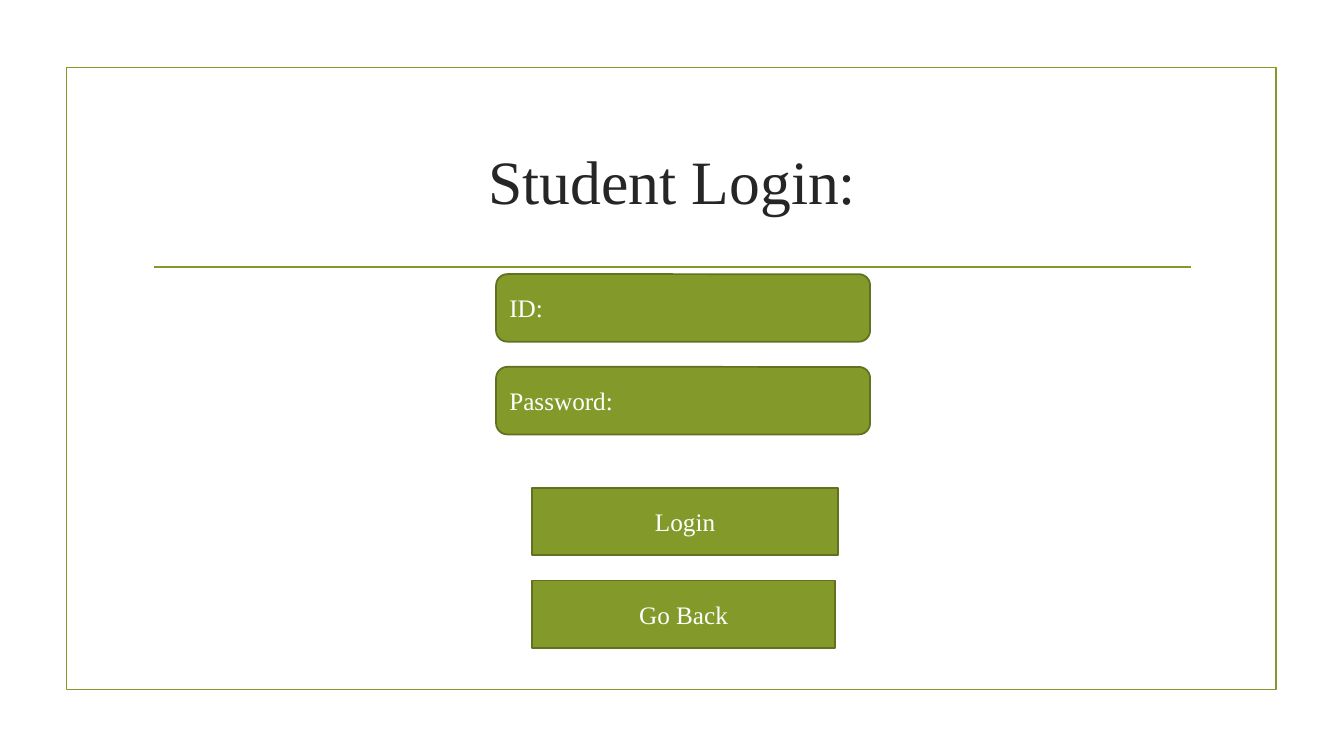
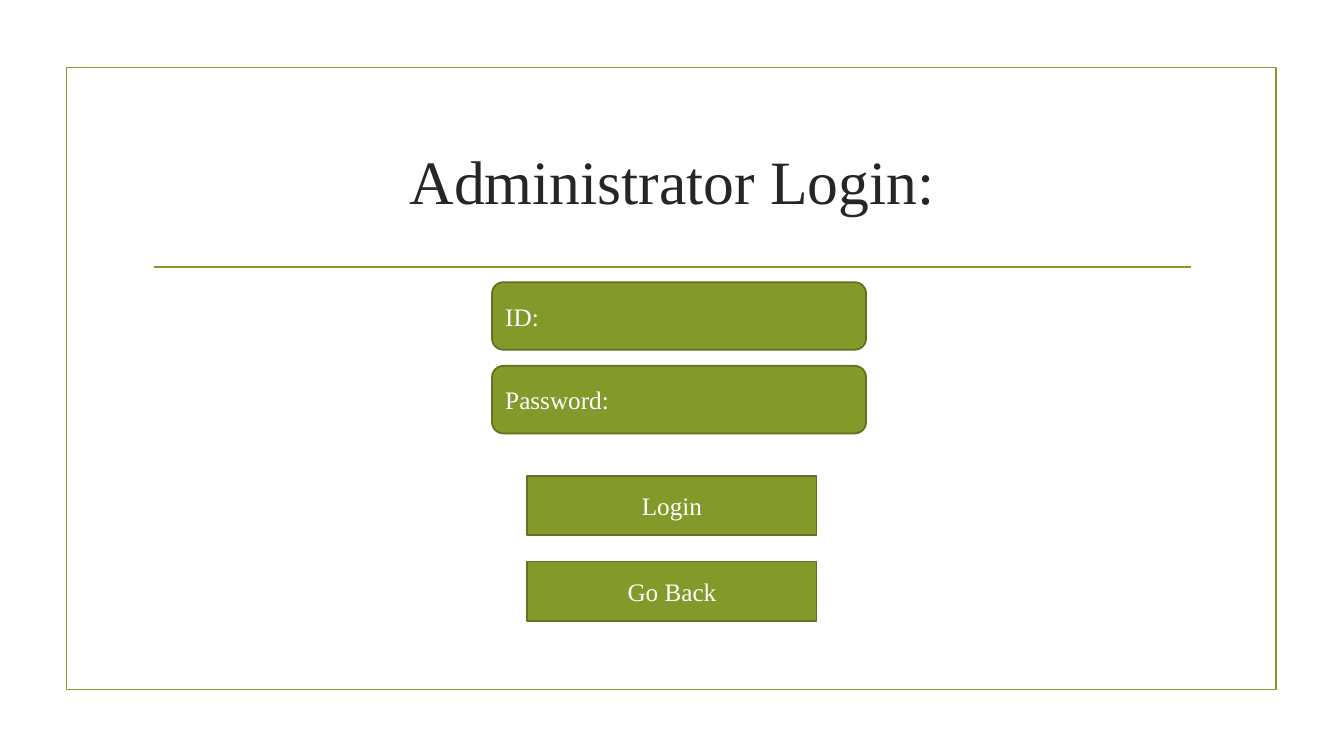
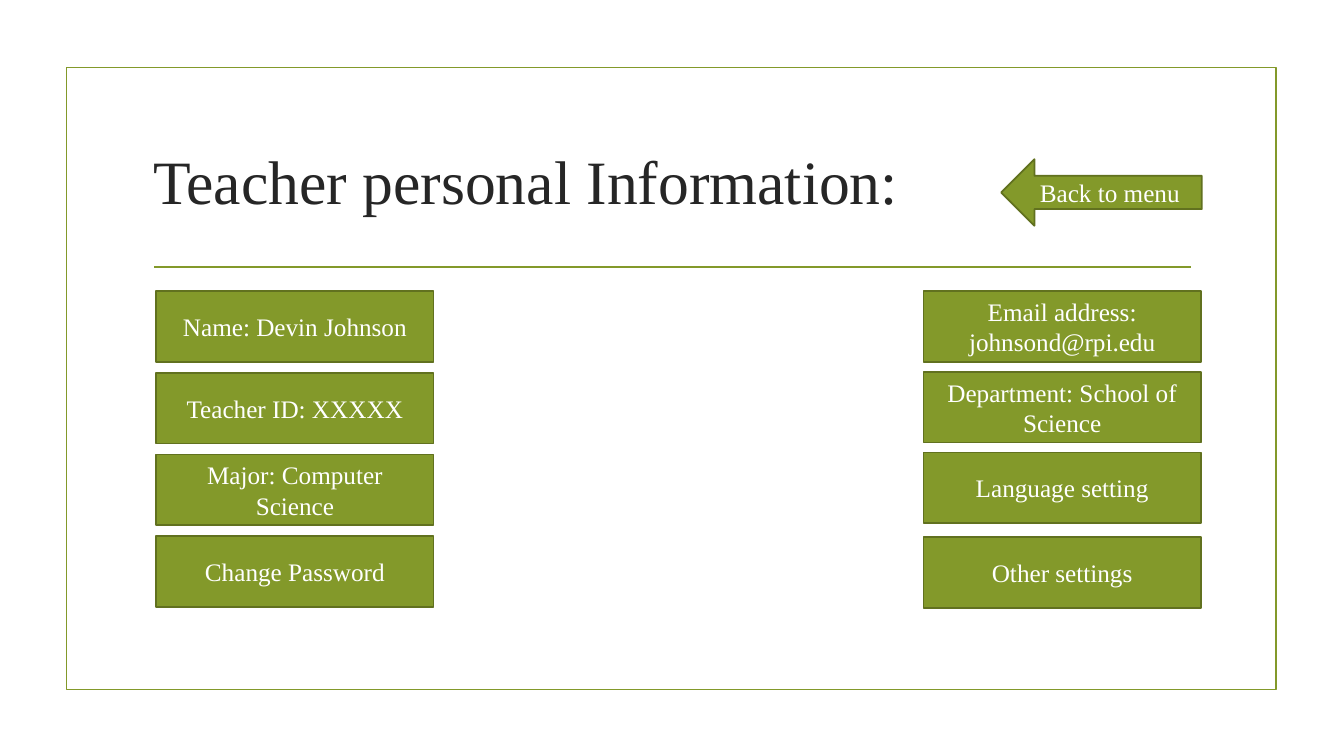
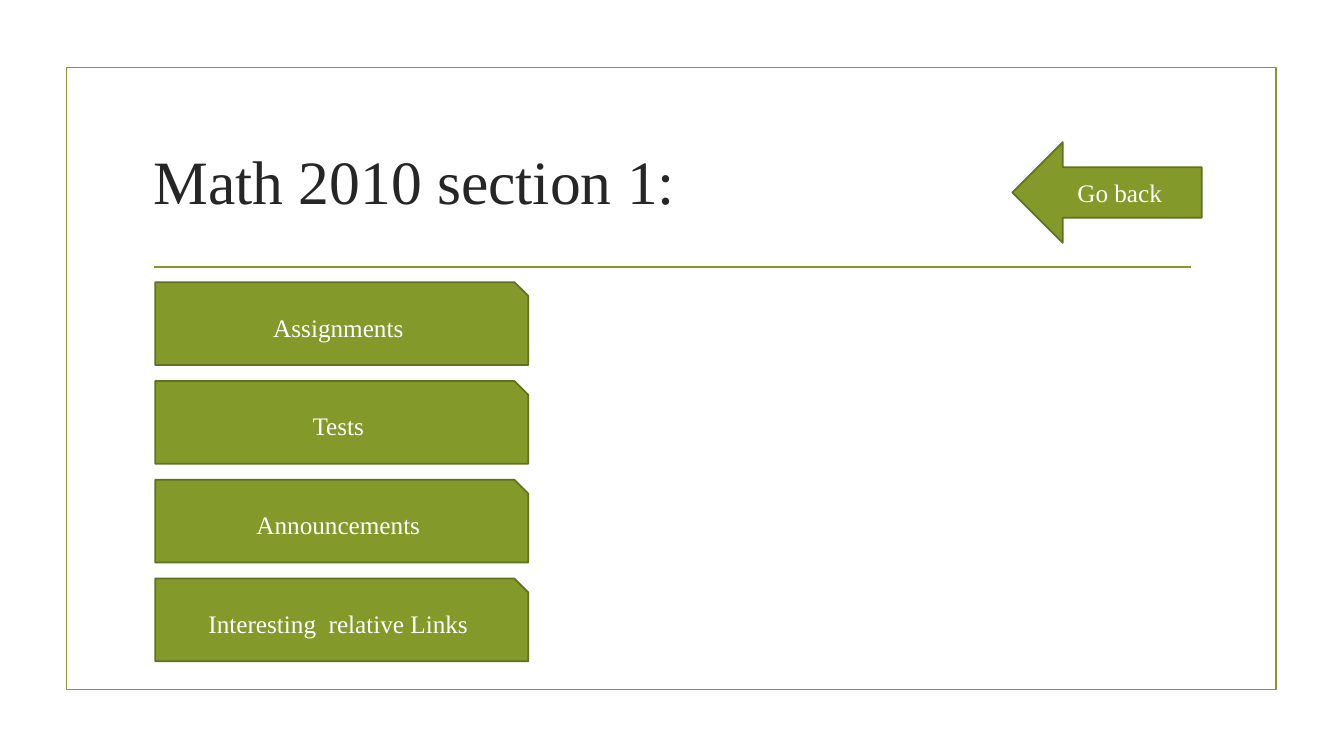
from dataclasses import dataclass

from lxml import etree
from pptx import Presentation
from pptx.dml.color import RGBColor
from pptx.enum.shapes import MSO_CONNECTOR, MSO_SHAPE
from pptx.enum.text import MSO_ANCHOR, MSO_AUTO_SIZE, PP_ALIGN
from pptx.oxml.ns import qn
from pptx.slide import Slide
from pptx.text.text import TextFrame
from pptx.util import Inches, Pt

RECT = MSO_SHAPE.RECTANGLE
ROUND = MSO_SHAPE.ROUNDED_RECTANGLE
SNIP = MSO_SHAPE.SNIP_1_RECTANGLE
ARROW = MSO_SHAPE.LEFT_ARROW
STRAIGHT = MSO_CONNECTOR.STRAIGHT
LEFT = PP_ALIGN.LEFT
CENTER = PP_ALIGN.CENTER
MIDDLE = MSO_ANCHOR.MIDDLE
NO_FIT = MSO_AUTO_SIZE.NONE


@dataclass(frozen=True)
class Theme:
    green: RGBColor = RGBColor(0x83, 0x99, 0x2A)
    edge: RGBColor = RGBColor(0x61, 0x71, 0x1F)
    ink: RGBColor = RGBColor(0x26, 0x26, 0x26)
    white: RGBColor = RGBColor(0xFF, 0xFF, 0xFF)
    font: str = "Times New Roman"
    head: Pt = Pt(44)
    body: Pt = Pt(18)
    line: Pt = Pt(1.25)


THEME = Theme()


@dataclass(frozen=True)
class Stack:
    """Equal boxes, one below the other, with lengths in inches."""
    labels: tuple[str, ...]
    left: float
    top: float
    width: float
    height: float
    step: float = 0
    kind: MSO_SHAPE = RECT
    align: PP_ALIGN = CENTER


@dataclass(frozen=True)
class Page:
    title: str
    align: PP_ALIGN
    stacks: tuple[Stack, ...]


FIELDS = ("ID:", "Password:")

PAGES = (
    Page("Student Login:", CENTER, (
        Stack(FIELDS, 4.92, 2.72, 3.71, 0.67, 0.92, ROUND, LEFT),
        Stack(("Login",), 5.28, 4.84, 3.03, 0.67),
        Stack(("Go Back",), 5.28, 5.76, 3, 0.67),
    )),
    Page("Administrator Login:", CENTER, (
        Stack(FIELDS, 4.88, 2.8, 3.71, 0.67, 0.83, ROUND, LEFT),
        Stack(("Login", "Go Back"), 5.23, 4.72, 2.87, 0.59, 0.85),
    )),
    Page("Teacher personal Information:", LEFT, (
        Stack(("Name: Devin Johnson", "Teacher ID: XXXXX",
               "Major: Computer Science", "Change Password"),
              1.55, 2.89, 2.75, 0.7, 0.81),
        Stack(("Email address: johnsond@rpi.edu",
               "Department: School of Science", "Language setting"),
              9.16, 2.89, 2.75, 0.7, 0.8),
        Stack(("Other settings",), 9.16, 5.33, 2.75, 0.7),
        Stack(("Back to menu",), 9.93, 1.58, 1.99, 0.66, kind=ARROW),
    )),
    Page("Math 2010 section 1:", LEFT, (
        Stack(("Assignments", "Tests", "Announcements",
               "Interesting  relative Links"),
              1.54, 2.8, 3.7, 0.82, 0.98, SNIP),
        Stack(("Go back",), 10.04, 1.41, 1.88, 1, kind=ARROW),
    )),
)


def write(frame: TextFrame, text: str, align: PP_ALIGN,
          size: Pt, color: RGBColor) -> None:
    frame.word_wrap = True
    frame.auto_size = NO_FIT
    frame.vertical_anchor = MIDDLE
    par = frame.paragraphs[0]
    par.alignment = align
    run = par.add_run()
    run.text = text
    run.font.name = THEME.font
    run.font.size = size
    run.font.color.rgb = color


def add_base(slide: Slide) -> None:
    """Draw the frame and the rule that every slide has."""
    frame = slide.shapes.add_shape(
        RECT, Inches(0.66), Inches(0.67), Inches(12), Inches(6.17))
    frame.shadow.inherit = False
    frame.fill.background()
    rule = slide.shapes.add_connector(
        STRAIGHT, Inches(1.53), Inches(2.65), Inches(11.81), Inches(2.65))
    for item in (frame, rule):
        item.line.color.rgb = THEME.green
        item.line.width = THEME.line
    etree.SubElement(rule.element.spPr, qn("a:effectLst"))


def add_title(slide: Slide, text: str, align: PP_ALIGN) -> None:
    title = slide.shapes.title
    title.left, title.top = Inches(1.42), Inches(1.07)
    title.width, title.height = Inches(10.5), Inches(1.43)
    write(title.text_frame, text, align, THEME.head, THEME.ink)


def add_stack(slide: Slide, stack: Stack) -> None:
    for row, label in enumerate(stack.labels):
        box = slide.shapes.add_shape(
            stack.kind, Inches(stack.left),
            Inches(stack.top + row * stack.step),
            Inches(stack.width), Inches(stack.height))
        box.shadow.inherit = False
        box.fill.solid()
        box.fill.fore_color.rgb = THEME.green
        box.line.color.rgb = THEME.edge
        box.line.width = THEME.line
        write(box.text_frame, label, stack.align, THEME.body, THEME.white)


def main() -> None:
    deck = Presentation()
    deck.slide_width, deck.slide_height = Inches(13.33), Inches(7.5)
    layout = deck.slide_layouts.get_by_name("Title Only")
    for page in PAGES:
        slide = deck.slides.add_slide(layout)
        add_base(slide)
        add_title(slide, page.title, page.align)
        for stack in page.stacks:
            add_stack(slide, stack)
    deck.save("out.pptx")


if __name__ == "__main__":
    main()
